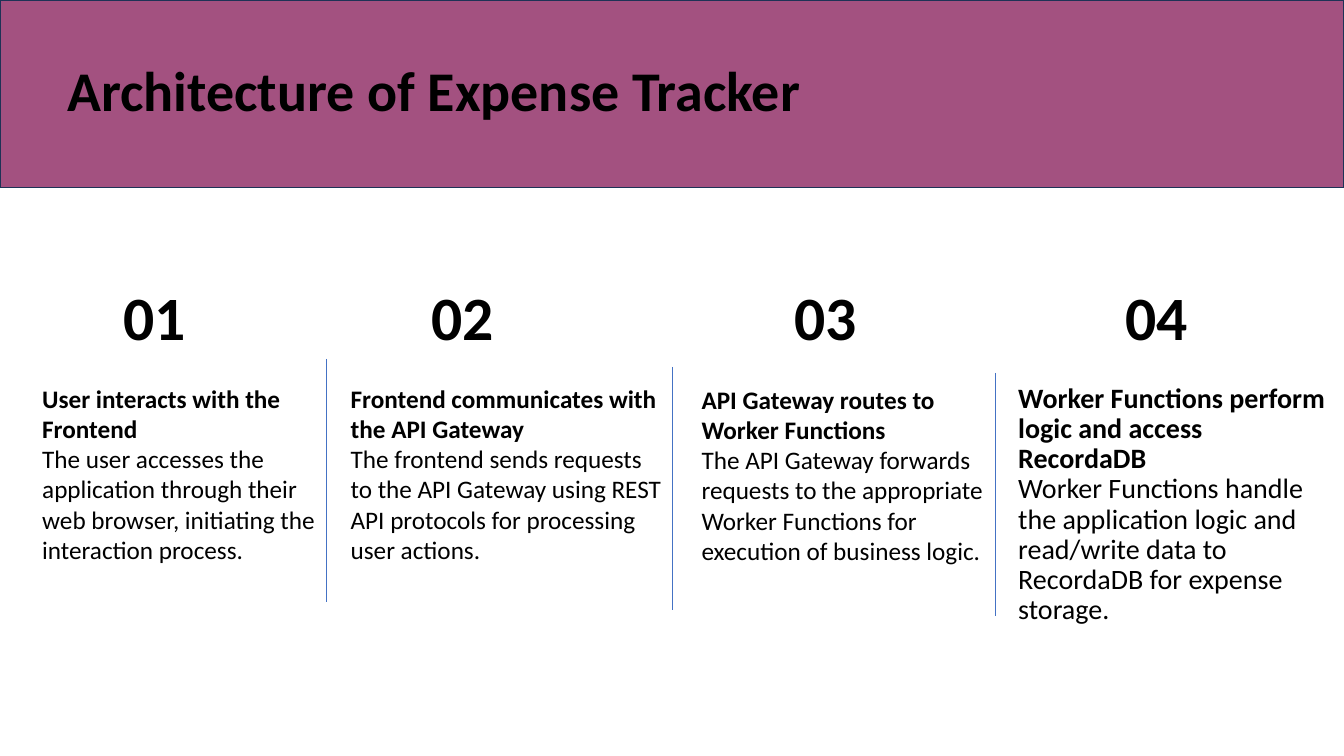
import pptx
import pptx.dml.color
import pptx.enum.shapes
import pptx.enum.text
import pptx.util
import lxml.etree

Inches = pptx.util.Inches
Pt = pptx.util.Pt
ANCHOR = pptx.enum.text.MSO_ANCHOR
AUTO_SIZE = pptx.enum.text.MSO_AUTO_SIZE


def color(value):
    return pptx.dml.color.RGBColor.from_string(value)


class SlideBuilder:
    font_name = "Calibri"
    text_color = "000000"
    banner_fill = "A35180"
    banner_line = "1E3256"
    divider_color = "4472C4"

    def __init__(self, slide):
        self.slide = slide

    def add_run(self, paragraph, text, size, bold):
        run = paragraph.add_run()
        run.text = text
        run.font.name = self.font_name
        run.font.size = Pt(size)
        run.font.bold = bold
        run.font.color.rgb = color(self.text_color)

    def title(self, text, left, top, width, height):
        shape = self.slide.shapes.title
        shape.left, shape.top = Inches(left), Inches(top)
        shape.width, shape.height = Inches(width), Inches(height)
        frame = shape.text_frame
        frame.word_wrap = True
        frame.auto_size = AUTO_SIZE.NONE
        frame.vertical_anchor = ANCHOR.TOP
        paragraph = frame.paragraphs[0]
        paragraph.alignment = pptx.enum.text.PP_ALIGN.LEFT
        self.add_run(paragraph, text, 40, True)

    def banner(self, width, height):
        shape = self.slide.shapes.add_shape(
            pptx.enum.shapes.MSO_SHAPE.RECTANGLE, 0, 0, Inches(width), Inches(height))
        shape.shadow.inherit = False
        shape.fill.solid()
        shape.fill.fore_color.rgb = color(self.banner_fill)
        shape.line.color.rgb = color(self.banner_line)
        shape.line.width = Pt(1)
        self.slide.shapes.title.element.addprevious(shape.element)

    def text_box(self, left, top, width, height):
        shape = self.slide.shapes.add_textbox(
            Inches(left), Inches(top), Inches(width), Inches(height))
        shape.text_frame.word_wrap = True
        return shape.text_frame

    def number(self, text, left, width):
        frame = self.text_box(left, 2.72, width, 0.84)
        self.add_run(frame.paragraphs[0], text, 44, True)

    def step(self, heading, description, box, size, anchor, line_spacing):
        frame = self.text_box(*box)
        frame.vertical_anchor = anchor
        paragraph = frame.paragraphs[0]
        paragraph.line_spacing = line_spacing
        self.add_run(paragraph, heading, size, True)
        paragraph.add_line_break()
        self.add_run(paragraph, description, size, False)

    def divider(self, left, top, height):
        connector = self.slide.shapes.add_connector(
            pptx.enum.shapes.MSO_CONNECTOR.STRAIGHT,
            Inches(left), Inches(top), Inches(left), Inches(top + height))
        connector.line.color.rgb = color(self.divider_color)
        connector.line.width = Pt(0.5)
        properties = connector.element.spPr
        lxml.etree.SubElement(properties, pptx.oxml.ns.qn("a:effectLst"))


def main():
    presentation = pptx.Presentation()
    presentation.slide_width = Inches(13.33)
    presentation.slide_height = Inches(7.5)
    builder = SlideBuilder(presentation.slides.add_slide(presentation.slide_layouts[5]))

    builder.title("Architecture of Expense Tracker", 0.57, 0.5, 9.29, 0.77)
    builder.banner(13.33, 1.86)

    steps = [
        ("User interacts with the Frontend",
         "The user accesses the application through their web browser, "
         "initiating the interaction process.",
         (0.32, 3.75, 2.92, 1.92), 18, ANCHOR.TOP, 1.0),
        ("Frontend communicates with the API Gateway",
         "The frontend sends requests to the API Gateway using REST API "
         "protocols for processing user actions.",
         (3.38, 3.75, 3.33, 1.92), 18, ANCHOR.TOP, 1.0),
        ("API Gateway routes to Worker Functions",
         "The API Gateway forwards requests to the appropriate Worker "
         "Functions for execution of business logic.",
         (6.86, 3.76, 3.01, 1.92), 18, ANCHOR.TOP, 1.0),
        ("Worker Functions perform logic and access RecordaDB",
         "Worker Functions handle the application logic and read/write data "
         "to RecordaDB for expense storage.",
         (10, 4.06, 3.32, 2.2), 20, ANCHOR.BOTTOM, 0.9),
    ]
    for step in steps:
        builder.step(*step)

    for left, top in [(3.24, 3.56), (6.67, 3.64), (9.87, 3.7)]:
        builder.divider(left, top, 2.41)

    number_spans = [(1.13, 1.04), (4.18, 1.24), (7.78, 1.39), (11.06, 0.97)]
    for index, (left, width) in enumerate(number_spans, start=1):
        builder.number(f"{index:02d}", left, width)

    presentation.save("out.pptx")


if __name__ == "__main__":
    main()
